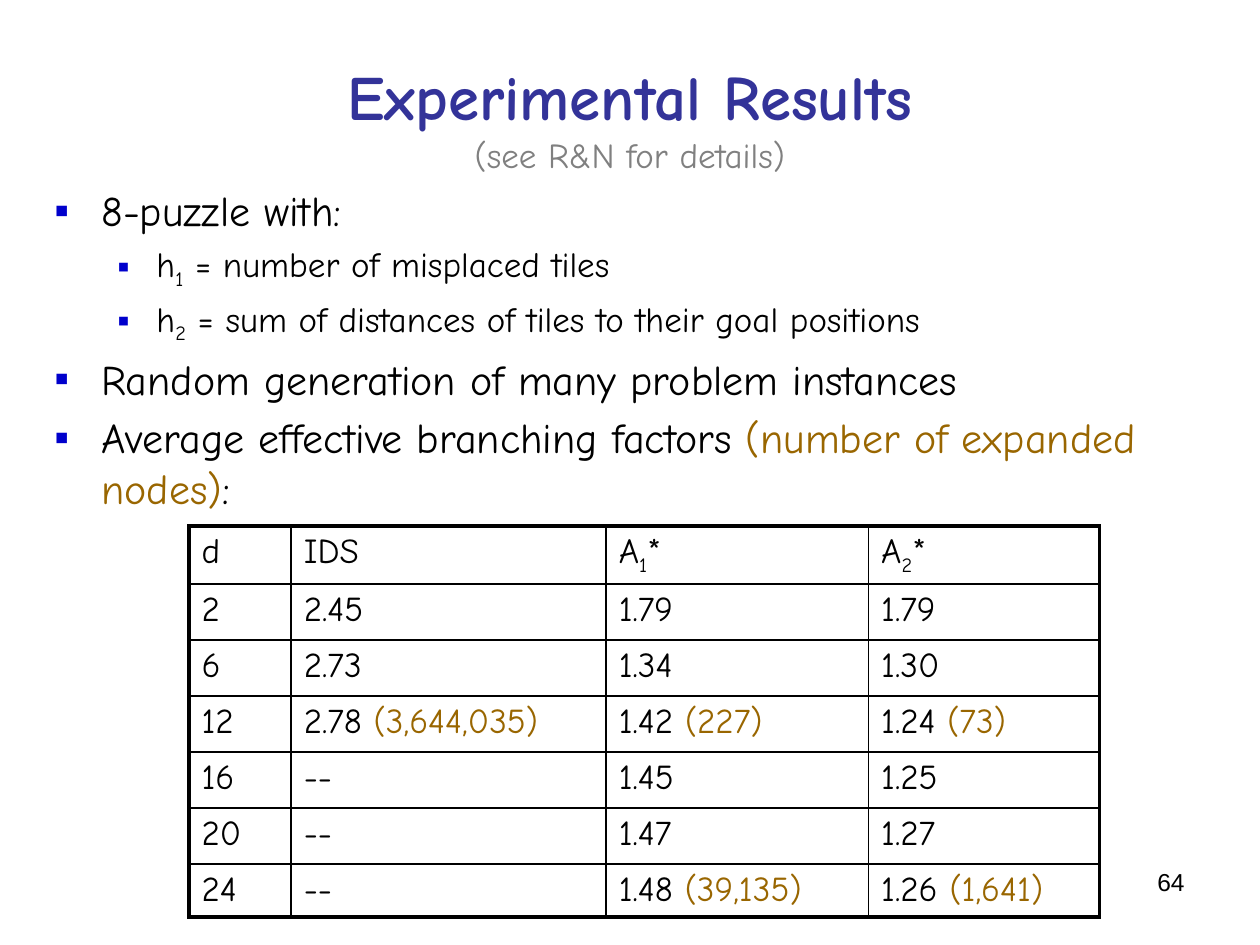
from lxml import etree
from pptx import Presentation
from pptx import util as u
from pptx.dml import color
from pptx.enum import text
from pptx.oxml import ns

COLOURS = {
    "ink": "000000",
    "title": "333399",
    "subtitle": "808080",
    "count": "996600",
    "bullet": "0000CC",
}
FONT = "Comic Neue"

POINTS = [
    (0, [("8-puzzle with:", "")]),
    (1, [("h", ""), ("1", "sub"), (" = number of misplaced tiles", "")]),
    (1, [("h", ""), ("2", "sub"),
         (" = sum of distances of tiles to their goal positions", "")]),
    (0, [("Random generation of many problem instances", "")]),
    (0, [("Average effective branching factors ", ""),
         ("(number of expanded nodes)", "count"), (":", "")]),
]
LEVELS = [
    {"size": 24, "margin": 0.95, "hang": 0.95},
    {"size": 20, "margin": 2.06, "hang": 0.79},
]
RESULTS = [
    [[("d", "")], [("IDS", "")],
     [("A", ""), ("1", "sub"), ("*", "")], [("A", ""), ("2", "sub"), ("*", "")]],
    ["2", "2.45", "1.79", "1.79"],
    ["6", "2.73", "1.34", "1.30"],
    ["12", "2.78 (3,644,035)", "1.42 (227)", "1.24 (73)"],
    ["16", "--", "1.45", "1.25"],
    ["20", "--", "1.47", "1.27"],
    ["24", "--", "1.48 (39,135)", "1.26 (1,641)"],
]
COLUMN_WIDTHS = [2.06, 6.35, 5.29, 4.65]
ROW_HEIGHTS = [1.13] * 6 + [1.07]


def place(part, box):
    """Move a part to a (left, top, width, height) box in centimetres."""
    part.left, part.top, part.width, part.height = map(u.Cm, box)


def style(run, size, colour, font=FONT, bold=False):
    """Format one run."""
    run.font.name, run.font.size, run.font.bold = font, u.Pt(size), bold
    run.font.color.rgb = color.RGBColor.from_string(COLOURS[colour])


def write(paragraph, pieces, size):
    """Fill a paragraph with (wording, role) pieces."""
    for wording, role in pieces:
        run = paragraph.add_run()
        run.text = wording
        style(run, size, "count" if role == "count" else "ink")
        if role == "sub":
            run._r.get_or_add_rPr().set("baseline", "-25000")


def add_bullet(paragraph, margin, hang):
    """Give a paragraph a square bullet with a hanging indent."""
    props = paragraph._p.get_or_add_pPr()
    props.set("marL", str(u.Cm(margin)))
    props.set("indent", str(-u.Cm(hang)))
    tint = etree.SubElement(props, ns.qn("a:buClr"))
    etree.SubElement(tint, ns.qn("a:srgbClr"), val=COLOURS["bullet"])
    etree.SubElement(props, ns.qn("a:buFont"), typeface="Arial")
    etree.SubElement(props, ns.qn("a:buChar"), char="▪")


def add_border(cell, side, width):
    """Draw one side of a table cell."""
    line = etree.SubElement(cell._tc.get_or_add_tcPr(), ns.qn("a:ln" + side),
                            w=str(u.Pt(width)))
    fill = etree.SubElement(line, ns.qn("a:solidFill"))
    etree.SubElement(fill, ns.qn("a:srgbClr"), val=COLOURS["ink"])


def fill_heading(slide, box):
    """Write the title and its smaller second line."""
    heading = slide.shapes.title
    place(heading, box)
    frame = heading.text_frame
    frame.text = "Experimental Results\v(see R&N for details)"
    frame.auto_size = text.MSO_AUTO_SIZE.NONE
    frame.vertical_anchor = text.MSO_ANCHOR.MIDDLE
    frame.paragraphs[0].alignment = text.PP_ALIGN.CENTER
    main, reference = frame.paragraphs[0].runs
    style(main, 36, "title", bold=True)
    style(reference, 20, "subtitle")


def fill_points(slide, box):
    """Write the bulleted list into the body placeholder."""
    body = slide.placeholders[1]
    place(body, box)
    frame = body.text_frame
    frame.auto_size = text.MSO_AUTO_SIZE.NONE
    for index, (level, pieces) in enumerate(POINTS):
        point = frame.add_paragraph() if index else frame.paragraphs[0]
        look = LEVELS[level]
        point.level = level
        point.space_before = u.Pt(look["size"] * 0.2 if index else 0)
        add_bullet(point, look["margin"], look["hang"])
        write(point, pieces, look["size"])


def split_count(entry):
    """Separate a branching factor from its bracketed node count."""
    factor, bracket, count = entry.partition("(")
    return [(factor, "")] + ([(bracket + count, "count")] if count else [])


def add_results(slide, left, top):
    """Add the table of branching factors with a heavy outer frame."""
    rows, columns = len(ROW_HEIGHTS), len(COLUMN_WIDTHS)
    results = slide.shapes.add_table(
        rows, columns, u.Cm(left), u.Cm(top),
        u.Cm(sum(COLUMN_WIDTHS)), u.Cm(sum(ROW_HEIGHTS))).table
    results.first_row = results.horz_banding = False
    for column, width in zip(results.columns, COLUMN_WIDTHS):
        column.width = u.Cm(width)
    for row, height in zip(results.rows, ROW_HEIGHTS):
        row.height = u.Cm(height)
    for r, entries in enumerate(RESULTS):
        for c, entry in enumerate(entries):
            cell = results.cell(r, c)
            pieces = split_count(entry) if isinstance(entry, str) else entry
            write(cell.text_frame.paragraphs[0], pieces, 20)
            outer = {"L": c == 0, "R": c == columns - 1,
                     "T": r == 0, "B": r == rows - 1}
            for side, heavy in outer.items():
                add_border(cell, side, 2.25 if heavy else 1)
            cell.fill.background()


def add_page_number(slide, box):
    """Add the page number at the lower right."""
    number = slide.shapes.add_textbox(*map(u.Cm, box))
    frame = number.text_frame
    frame.word_wrap = True
    frame.text = "64"
    frame.paragraphs[0].alignment = text.PP_ALIGN.RIGHT
    style(frame.paragraphs[0].runs[0], 14, "ink", font="Arial")


def main():
    """Build and save the slide."""
    deck = Presentation()
    deck.slide_width, deck.slide_height = u.Cm(25.4), u.Cm(19.05)
    slide = deck.slides.add_slide(deck.slide_layouts[1])
    fill_heading(slide, (1.27, 0.76, 22.86, 3.18))
    fill_points(slide, (0.84, 3.6, 23.7, 12.57))
    add_results(slide, 3.81, 10.6)
    add_page_number(slide, (18.2, 17.35, 5.93, 1.32))
    deck.save("out.pptx")


if __name__ == "__main__":
    main()
